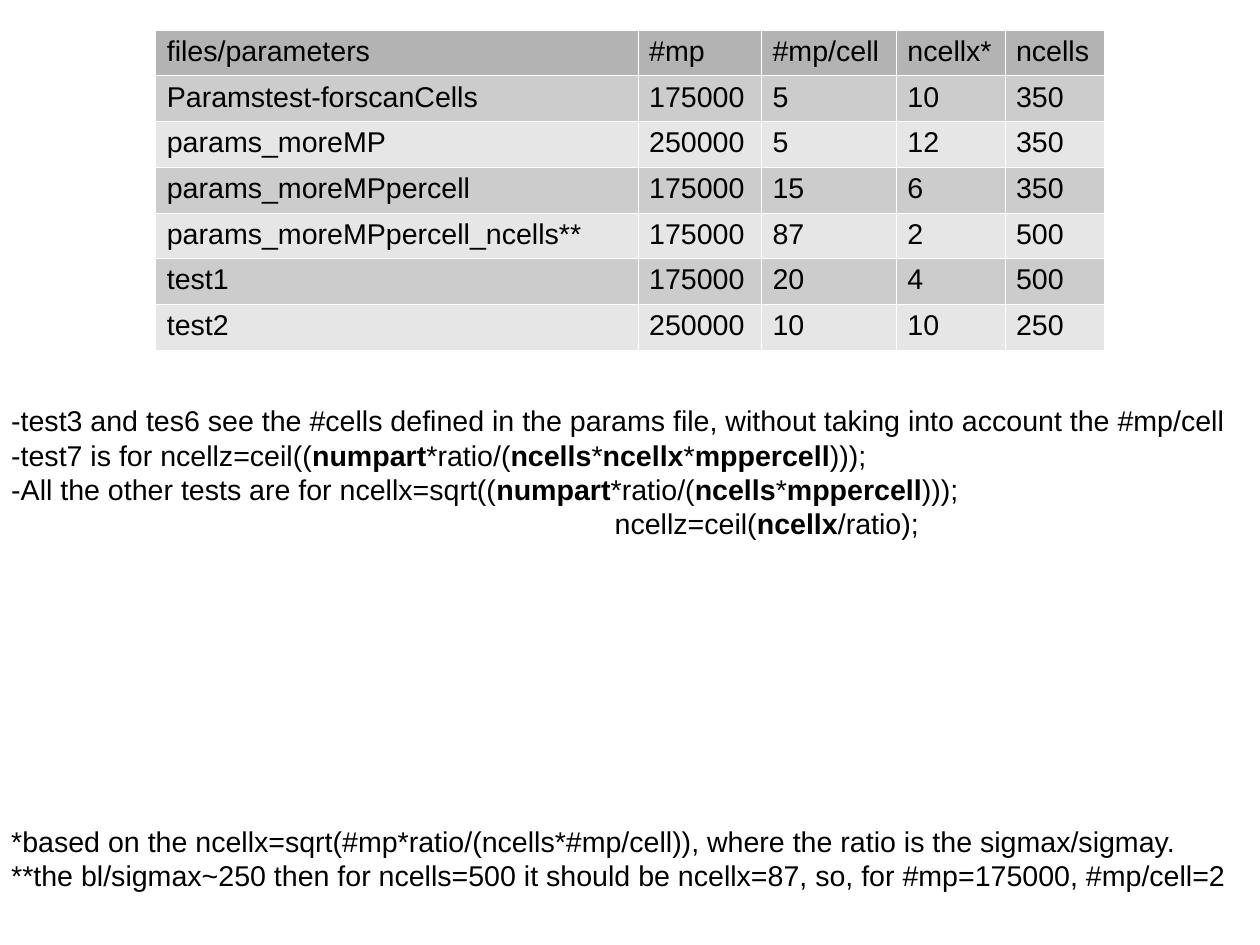
import pptx
import pptx.util
import pptx.dml.color
import pptx.enum.text
import lxml.etree
import pptx.oxml.ns

Inches = pptx.util.Inches
RGBColor = pptx.dml.color.RGBColor
BLACK = RGBColor(0x00, 0x00, 0x00)
HEADER_GREY = RGBColor(0xB3, 0xB3, 0xB3)
DARK_BAND = RGBColor(0xCC, 0xCC, 0xCC)
LIGHT_BAND = RGBColor(0xE6, 0xE6, 0xE6)
WHITE = RGBColor(0xFF, 0xFF, 0xFF)


def style_font(paragraph):
    paragraph.font.name = "Arial"
    paragraph.font.size = pptx.util.Pt(18)
    paragraph.font.color.rgb = BLACK


def add_borders(cell):
    properties = cell._tc.get_or_add_tcPr()
    for position, side in enumerate(("lnL", "lnR", "lnT", "lnB")):
        line = lxml.etree.Element(pptx.oxml.ns.qn("a:" + side), w="762")
        fill = lxml.etree.SubElement(line, pptx.oxml.ns.qn("a:solidFill"))
        lxml.etree.SubElement(fill, pptx.oxml.ns.qn("a:srgbClr"), val=str(WHITE))
        properties.insert(position, line)


# Page of 28 by 21 centimetres
deck = pptx.Presentation()
deck.slide_width = Inches(28 / 2.54)
deck.slide_height = Inches(21 / 2.54)
page = deck.slides.add_slide(deck.slide_layouts[6])

# Parameter table
parameter_rows = [
    ("files/parameters", "#mp", "#mp/cell", "ncellx*", "ncells"),
    ("Paramstest-forscanCells", "175000", "5", "10", "350"),
    ("params_moreMP", "250000", "5", "12", "350"),
    ("params_moreMPpercell", "175000", "15", "6", "350"),
    ("params_moreMPpercell_ncells**", "175000", "87", "2", "500"),
    ("test1", "175000", "20", "4", "500"),
    ("test2", "250000", "10", "10", "250"),
]
column_widths = (4.22, 1.08, 1.18, 0.95, 0.87)
row_height = 0.4
table = page.shapes.add_table(
    len(parameter_rows), len(column_widths), Inches(1.36), Inches(0.26),
    Inches(sum(column_widths)), Inches(row_height * len(parameter_rows))).table
table.first_row = False
table.horz_banding = False
for column, width in zip(table.columns, column_widths):
    column.width = Inches(width)

for row_index, values in enumerate(parameter_rows):
    if row_index == 0:
        row_color = HEADER_GREY
    else:
        row_color = DARK_BAND if row_index % 2 else LIGHT_BAND
    for column_index, value in enumerate(values):
        cell = table.cell(row_index, column_index)
        cell.text = value
        style_font(cell.text_frame.paragraphs[0])
        cell.fill.solid()
        cell.fill.fore_color.rgb = row_color
        add_borders(cell)

# Notes below the table: every second piece of a line is bold
footnotes = [
    ["*based on the ncellx=sqrt(#mp*ratio/(ncells*#mp/cell)), where the ratio is the sigmax/sigmay."],
    ["**the bl/sigmax~250 then for ncells=500 it should be ncellx=87, so, for #mp=175000, #mp/cell=2"],
]
test_notes = [
    ["-test3 and tes6 see the #cells defined in the params file, without taking into account the #mp/cell"],
    ["-test7 is for ncellz=ceil((", "numpart", "*ratio/(", "ncells", "*",
     "ncellx", "*", "mppercell", ")));"],
    ["-All the other tests are for ncellx=sqrt((", "numpart", "*ratio/(",
     "ncells", "*", "mppercell", ")));"],
    ["ncellz=ceil(", "ncellx", "/ratio);"],
]
for top, height, lines in ((7.16, 0.94, footnotes), (3.48, 1.22, test_notes)):
    box = page.shapes.add_textbox(0, Inches(top), deck.slide_width, Inches(height))
    frame = box.text_frame
    frame.word_wrap = True
    frame.auto_size = pptx.enum.text.MSO_AUTO_SIZE.SHAPE_TO_FIT_TEXT
    for line_index, pieces in enumerate(lines):
        para = frame.add_paragraph() if line_index else frame.paragraphs[0]
        style_font(para)
        for piece_index, piece in enumerate(pieces):
            span = para.add_run()
            span.text = piece
            if piece_index % 2:
                span.font.bold = True

# Continuation formula, indented under the formula above it
para._p.get_or_add_pPr().set("marL", str(Inches(5.28)))

deck.save("out.pptx")
